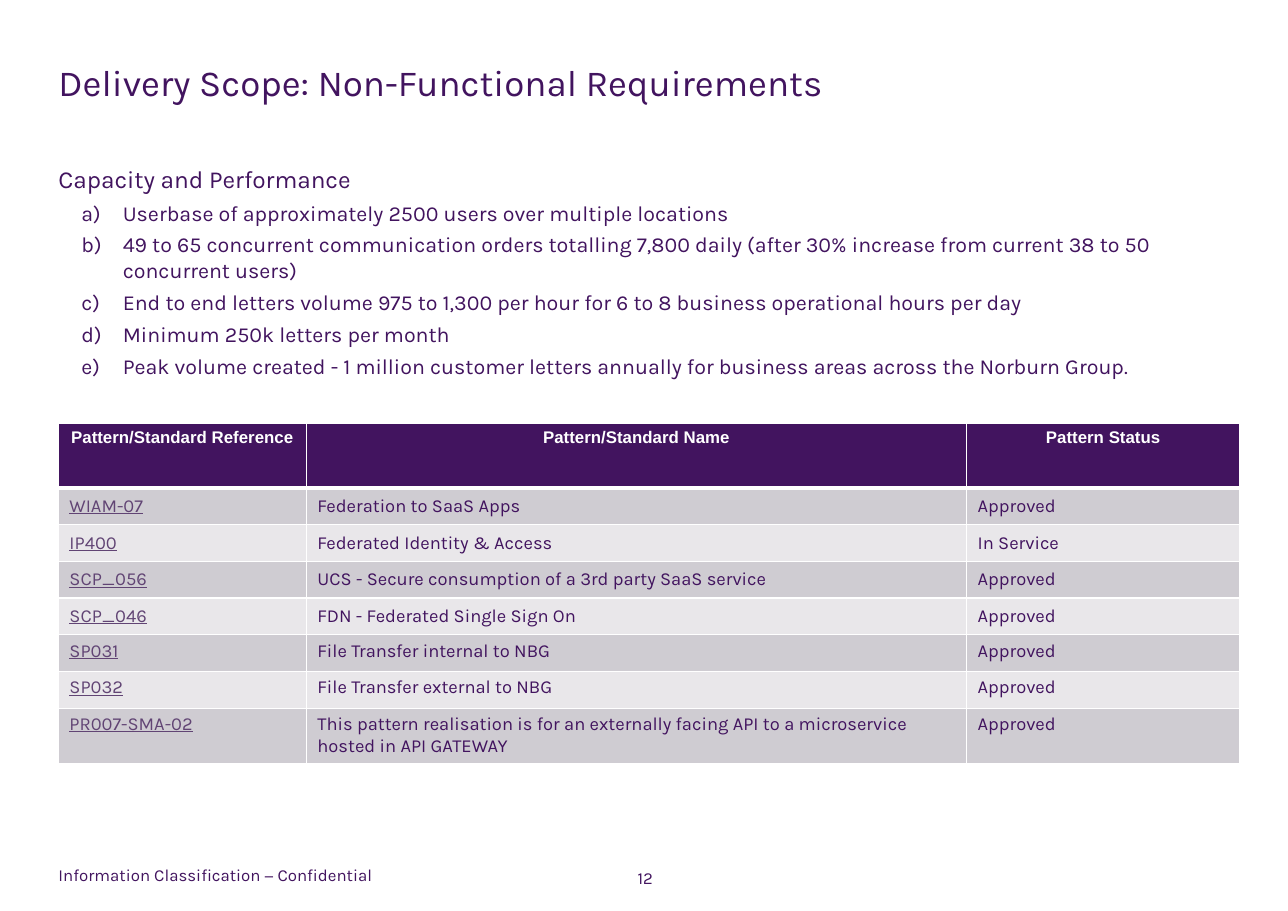
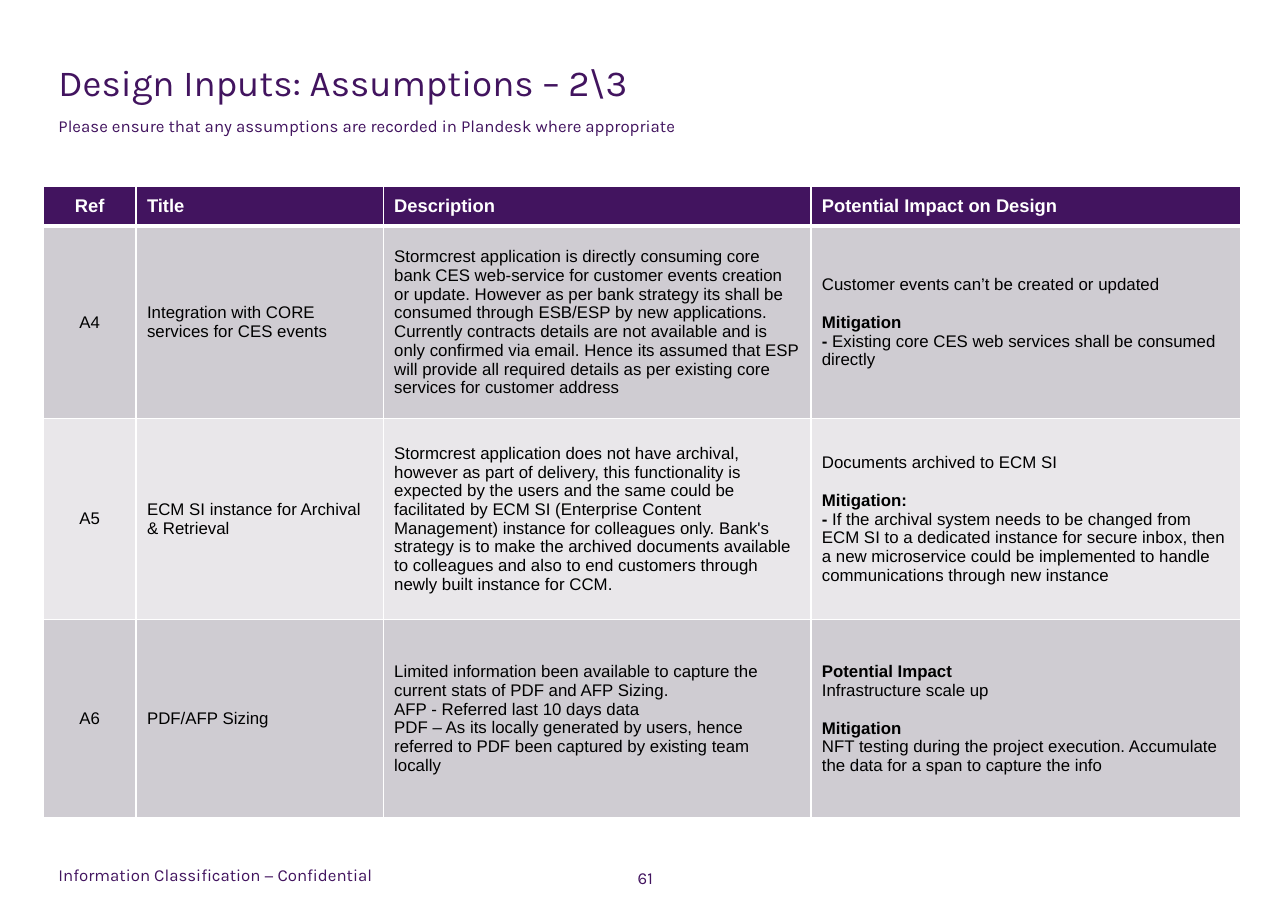
from pptx import Presentation
from pptx.dml.color import RGBColor
from pptx.enum.text import MSO_ANCHOR, PP_ALIGN
from pptx.oxml import parse_xml
from pptx.oxml.ns import nsdecls
from pptx.util import Pt

COLOURS = {
    "purple": "42145F",
    "link": "614474",
    "band_dark": "CFCCD2",
    "band_light": "E9E7EA",
    "white": "FFFFFF",
    "black": "000000",
}
TOP, MIDDLE = MSO_ANCHOR.TOP, MSO_ANCHOR.MIDDLE
LEFT, CENTER = PP_ALIGN.LEFT, PP_ALIGN.CENTER


def write(frame, text, size=11, font="Karla", colour="purple", bold=False,
          underline=False, align=LEFT, before=0, block_gap=0, numbered=False):
    for block_index, block in enumerate(text.split("\n\n")):
        for line_index, line in enumerate(block.split("\n")):
            first = not frame.paragraphs[0].runs
            para = frame.paragraphs[0] if first else frame.add_paragraph()
            if numbered:
                props = para._p.get_or_add_pPr()
                props.set("marL", str(Pt(42)))
                props.set("indent", str(Pt(-27)))
                props.append(parse_xml(
                    f'<a:buClr {nsdecls("a")}><a:srgbClr val="{COLOURS[colour]}"/></a:buClr>'))
                props.append(parse_xml(
                    f'<a:buAutoNum {nsdecls("a")} type="alphaLcParenR"/>'))
            para.alignment = align
            starts_block = block_index > 0 and line_index == 0
            para.space_before = Pt(0 if first else block_gap if starts_block else before)
            for part_index, part in enumerate(line.split("**")):
                if not part:
                    continue
                span = para.add_run()
                span.text = part
                span.font.size = Pt(size)
                span.font.name = font
                span.font.bold = bold or part_index % 2 == 1
                span.font.underline = underline
                span.font.color.rgb = RGBColor.from_string(COLOURS[colour])


def draw_table(page, left, top, columns, heights, rows, header, header_aligns,
               header_anchor, styles, anchors):
    grid = page.shapes.add_table(len(rows), len(columns), Pt(left), Pt(top),
                                 Pt(sum(columns)), Pt(sum(heights))).table
    for column, width in zip(grid.columns, columns):
        column.width = Pt(width)
    for row_index, texts in enumerate(rows):
        grid.rows[row_index].height = Pt(heights[row_index])
        for column_index, text in enumerate(texts):
            cell = grid.cell(row_index, column_index)
            props = cell._tc.get_or_add_tcPr()
            for side in "LRTB":
                heavy = (side, row_index) in (("B", 0), ("T", 1))
                props.append(parse_xml(
                    f'<a:ln{side} {nsdecls("a")} w="{Pt(3 if heavy else 1)}"><a:solidFill>'
                    f'<a:srgbClr val="{COLOURS["white"]}"/></a:solidFill></a:ln{side}>'))
            band = "purple" if row_index == 0 else "band_dark" if row_index % 2 else "band_light"
            cell.fill.solid()
            cell.fill.fore_color.rgb = RGBColor.from_string(COLOURS[band])
            if row_index == 0:
                cell.vertical_anchor = header_anchor
                write(cell.text_frame, text, font="Arial", colour="white", bold=True,
                      align=header_aligns[column_index], **header)
            else:
                cell.vertical_anchor = anchors[row_index - 1]
                write(cell.text_frame, text, **styles[column_index])


pattern_rows = [
    ("Pattern/Standard Reference", "Pattern/Standard Name", "Pattern Status"),
    ("WIAM-07", "Federation to SaaS Apps", "Approved"),
    ("IP400", "Federated Identity & Access", "In Service"),
    ("SCP_056", "UCS - Secure consumption of a 3rd party SaaS service", "Approved"),
    ("SCP_046", "FDN - Federated Single Sign On", "Approved"),
    ("SP031", "File Transfer internal to NBG", "Approved"),
    ("SP032", "File Transfer external to NBG", "Approved"),
    ("PR007-SMA-02", "This pattern realisation is for an externally facing API to a "
     "microservice hosted in API GATEWAY", "Approved"),
]
assumption_rows = [
    ("Ref", "Title", "Description", "Potential Impact on Design"),
    ("A4", "Integration with CORE services for CES events",
     "Stormcrest application is directly consuming core bank CES web-service for customer "
     "events creation or update. However as per bank strategy its shall be consumed through "
     "ESB/ESP by new applications.\n"
     "Currently contracts details are not available and is only confirmed via email. Hence "
     "its assumed that ESP will provide all required details as per existing core services "
     "for customer address",
     "Customer events can’t be created or updated\n\n**Mitigation**\n"
     "**- **Existing core CES web services shall be consumed directly"),
    ("A5", "ECM SI instance for Archival & Retrieval",
     "Stormcrest application does not have archival, however as part of delivery, this "
     "functionality is expected by the users and the same could be\n"
     "facilitated by ECM SI (Enterprise Content Management) instance for colleagues only. "
     "Bank's strategy is to make the archived documents available to colleagues and also to "
     "end customers through newly built instance for CCM.",
     "Documents archived to ECM SI\n\n**Mitigation:**\n"
     "**- **If the archival system needs to be changed from ECM SI to a dedicated instance "
     "for secure inbox, then a new microservice could be implemented to handle "
     "communications through new instance"),
    ("A6", "PDF/AFP Sizing",
     "Limited information been available to capture the current stats of PDF and AFP Sizing.\n"
     "AFP - Referred last 10 days data\n"
     "PDF – As its locally generated by users, hence referred to PDF been captured by "
     "existing team locally",
     "**Potential Impact**\nInfrastructure scale up\n\n**Mitigation**\n"
     "NFT testing during the project execution. Accumulate the data for a span to capture "
     "the info"),
]
capacity_items = "\n".join([
    "Userbase of approximately 2500 users over multiple locations",
    "49 to 65 concurrent communication orders totalling 7,800 daily (after 30% increase from "
    "current 38 to 50 concurrent users)",
    "End to end letters volume 975 to 1,300 per hour for 6 to 8 business operational hours per day",
    "Minimum 250k letters per month",
    "Peak volume created - 1 million customer letters annually for business areas across the "
    "Norburn Group.",
])
plain = {"size": 12}
assumption = {"font": "Arial", "colour": "black", "block_gap": 12.5}

slides = [
    {
        "number": "12",
        "title": "Delivery Scope: Non-Functional Requirements",
        "lead": "Capacity and Performance",
        "lead_place": (107.3, 165),
        "lead_size": 16,
        "items": capacity_items,
        "table": {
            "left": 38.2, "top": 276.5, "columns": [162, 431.5, 178.5],
            "heights": [42.5] + [24] * 6 + [34.5], "rows": pattern_rows,
            "header": {"size": 11}, "header_aligns": [CENTER] * 3, "header_anchor": TOP,
            "styles": [{"size": 12, "colour": "link", "underline": True}, plain, plain],
            "anchors": [MIDDLE] * 4 + [TOP] * 3,
        },
    },
    {
        "number": "61",
        "title": "Design Inputs: Assumptions – 2\\3",
        "lead": "Please ensure that any assumptions are recorded in Plandesk where appropriate",
        "lead_place": (75.6, 28),
        "lead_size": 11,
        "items": "",
        "table": {
            "left": 28.4, "top": 122, "columns": [60.5, 161.5, 279.5, 281],
            "heights": [26, 125.5, 131.5, 129.5], "rows": assumption_rows,
            "header": {"size": 12}, "header_aligns": [CENTER] + [LEFT] * 3,
            "header_anchor": MIDDLE,
            "styles": [{**assumption, "align": CENTER}] + [assumption] * 3,
            "anchors": [MIDDLE] * 3,
        },
    },
]

deck = Presentation()
deck.slide_width, deck.slide_height = Pt(841.68), Pt(595.44)

for slide in slides:
    page = deck.slides.add_slide(deck.slide_layouts[6])
    lead_top, lead_height = slide["lead_place"]
    boxes = [
        (38.2, 39, 675, 42.5, TOP, slide["title"], {"size": 24}),
        (38.2, lead_top, 765.5, lead_height, TOP, slide["lead"], {"size": slide["lead_size"]}),
        (38.2, 561, 210, 21.5, MIDDLE, "Information Classification − Confidential", {}),
        (398.2, 563, 47, 21.5, MIDDLE, slide["number"], {"align": CENTER}),
    ]
    for left, top, width, height, anchor, text, style in boxes:
        box = page.shapes.add_textbox(Pt(left), Pt(top), Pt(width), Pt(height))
        frame = box.text_frame
        frame.word_wrap = True
        frame.vertical_anchor = anchor
        frame.margin_left = frame.margin_right = frame.margin_top = frame.margin_bottom = Pt(0)
        write(frame, text, **style)
        if text == slide["lead"] and slide["items"]:
            write(frame, slide["items"], size=14, before=4, numbered=True)
    draw_table(page, **slide["table"])

deck.save("out.pptx")
